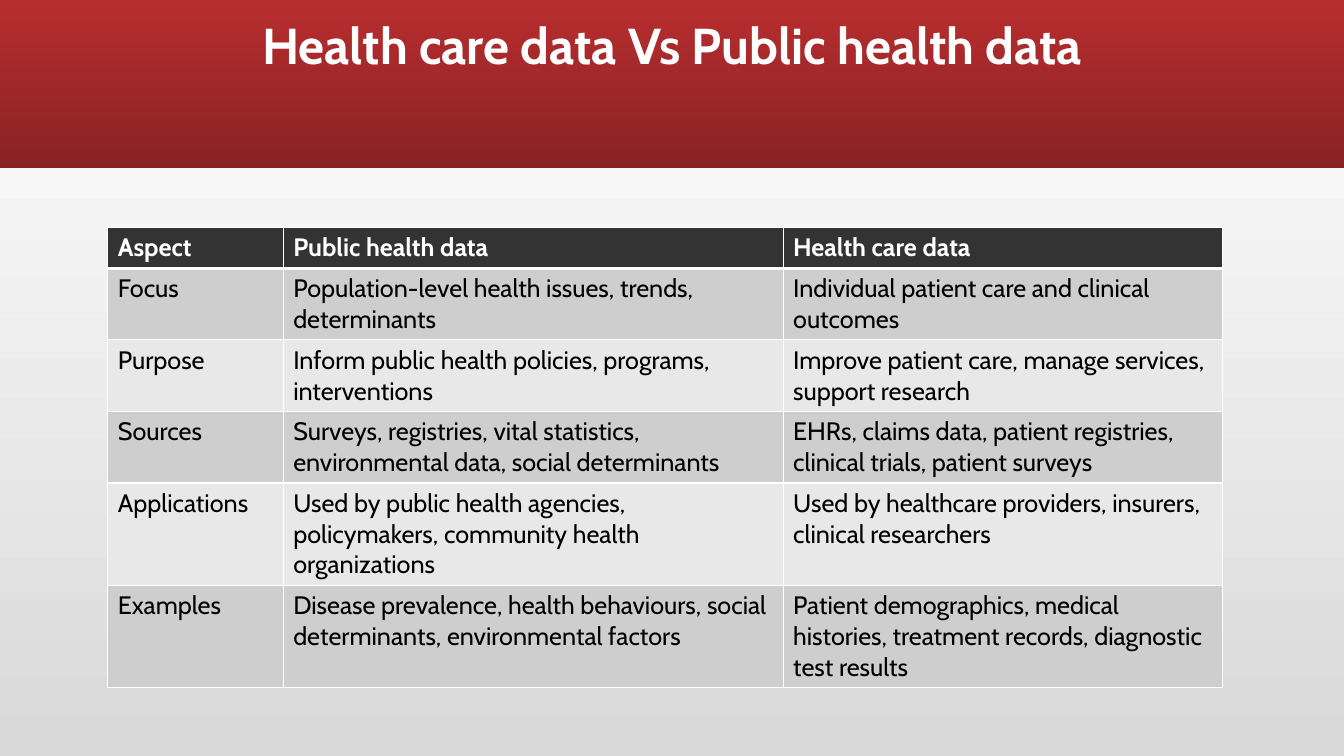
from lxml import etree
from pptx import Presentation
from pptx.dml.color import RGBColor
from pptx.enum.shapes import MSO_SHAPE
from pptx.enum.text import MSO_ANCHOR, PP_ALIGN
from pptx.oxml.ns import qn
from pptx.util import Pt

RECTANGLE = MSO_SHAPE.RECTANGLE
TOP = MSO_ANCHOR.TOP
CENTER = PP_ALIGN.CENTER
SLIDE_WIDTH, SLIDE_HEIGHT = 960, 540
BLANK_LAYOUT = 6

COMPARISON = [
    ("Aspect", "Public health data", "Health care data"),
    ("Focus", "Population-level health issues, trends, determinants",
     "Individual patient care and clinical outcomes"),
    ("Purpose", "Inform public health policies, programs, interventions",
     "Improve patient care, manage services, support research"),
    ("Sources", "Surveys, registries, vital statistics, environmental data, social determinants",
     "EHRs, claims data, patient registries, clinical trials, patient surveys"),
    ("Applications", "Used by public health agencies, policymakers, community health organizations",
     "Used by healthcare providers, insurers, clinical researchers"),
    ("Examples", "Disease prevalence, health behaviours, social determinants, environmental factors",
     "Patient demographics, medical histories, treatment records, diagnostic test results"),
]
COLUMN_WIDTHS = [125.3, 357.1, 313.9]
ROW_HEIGHTS = [29.2, 51.1, 51.1, 51.1, 73, 73]


def color(hex_value):
    return RGBColor.from_string(hex_value)


class SlideBuilder:
    font_name = "Cabin"
    white, black = "FFFFFF", "000000"
    header_fill = "333333"
    band_fills = ("E8E8E8", "CECECE")
    thin_rule, thick_rule = 1, 3

    def __init__(self, slide):
        self.slide = slide

    def gradient(self, fill, start, end, angle):
        fill.gradient()
        fill.gradient_angle = angle
        for stop, hex_value in zip(fill.gradient_stops, (start, end)):
            stop.color.rgb = color(hex_value)

    def background(self, start, end, angle):
        self.gradient(self.slide.background.fill, start, end, angle)

    def banner(self, left, top, width, height, start, end, angle):
        banner = self.slide.shapes.add_shape(
            RECTANGLE, Pt(left), Pt(top), Pt(width), Pt(height))
        banner.shadow.inherit = False
        banner.line.fill.background()
        self.gradient(banner.fill, start, end, angle)

    def styled_run(self, paragraph, text, size, hex_value, bold):
        run = paragraph.add_run()
        run.text = text
        run.font.color.rgb = color(hex_value)
        style = {"name": self.font_name, "size": Pt(size), "bold": bold}
        for attribute, value in style.items():
            setattr(run.font, attribute, value)

    def title(self, text, left, top, width, height):
        frame = self.slide.shapes.add_textbox(
            Pt(left), Pt(top), Pt(width), Pt(height)).text_frame
        layout = {"word_wrap": True, "vertical_anchor": TOP, "margin_top": Pt(7)}
        for attribute, value in layout.items():
            setattr(frame, attribute, value)
        heading = frame.paragraphs[0]
        heading.alignment = CENTER
        heading.line_spacing = 0.9
        self.styled_run(heading, text, 36, self.white, True)

    def cell_borders(self, cell, widths):
        properties = cell._tc.get_or_add_tcPr()
        for position, (side, width) in enumerate(widths.items()):
            border = etree.Element(qn(f"a:ln{side}"), w=str(Pt(width)))
            solid = etree.SubElement(border, qn("a:solidFill"))
            etree.SubElement(solid, qn("a:srgbClr"), val=self.white)
            properties.insert(position, border)

    def table(self, rows, left, top, column_widths, row_heights):
        table = self.slide.shapes.add_table(
            len(rows), len(column_widths), Pt(left), Pt(top),
            Pt(sum(column_widths)), Pt(sum(row_heights))).table
        for column, width in zip(table.columns, column_widths):
            column.width = Pt(width)
        for row, height in zip(table.rows, row_heights):
            row.height = Pt(height)

        for row_index, texts in enumerate(rows):
            is_header = row_index == 0
            fill = self.header_fill if is_header else self.band_fills[row_index % 2]
            ink = self.white if is_header else self.black
            borders = {
                "L": self.thin_rule,
                "R": self.thin_rule,
                "T": self.thick_rule if row_index == 1 else self.thin_rule,
                "B": self.thick_rule if is_header else self.thin_rule,
            }
            for column_index, text in enumerate(texts):
                cell = table.cell(row_index, column_index)
                cell.fill.solid()
                cell.fill.fore_color.rgb = color(fill)
                self.styled_run(cell.text_frame.paragraphs[0], text, 18, ink, is_header)
                self.cell_borders(cell, borders)


def main():
    presentation = Presentation()
    presentation.slide_width = Pt(SLIDE_WIDTH)
    presentation.slide_height = Pt(SLIDE_HEIGHT)
    blank = presentation.slide_layouts[BLANK_LAYOUT]
    builder = SlideBuilder(presentation.slides.add_slide(blank))

    # Background and title banner
    builder.background("D9D9D9", "FFFFFF", 90)
    builder.banner(0, 0, SLIDE_WIDTH, 120, "B82D2F", "8A2223", 270)
    builder.title("Health care data Vs Public health data", 84, 8, 792, 92)

    # Comparison table
    builder.table(COMPARISON, 77, 162.5, COLUMN_WIDTHS, ROW_HEIGHTS)

    presentation.save("out.pptx")


if __name__ == "__main__":
    main()
